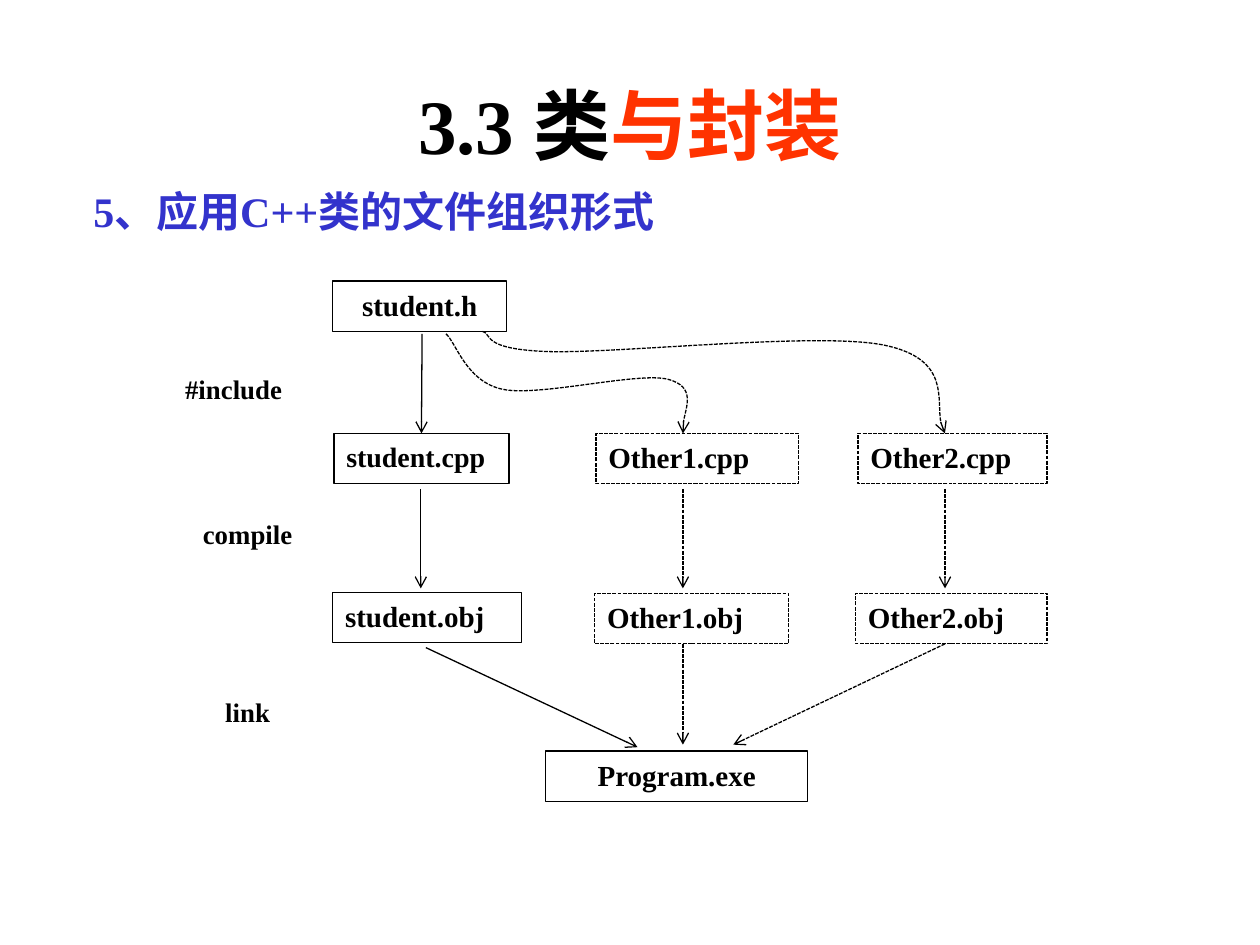
"""Build the slide on how the files of a C++ class are compiled and linked."""
from typing import NamedTuple

import lxml.etree
import pptx
import pptx.dml.color
import pptx.enum.dml
import pptx.enum.shapes
import pptx.enum.text
import pptx.oxml.ns
import pptx.util

Inches = pptx.util.Inches
Pt = pptx.util.Pt
Align = pptx.enum.text.PP_ALIGN
Color = pptx.dml.color.RGBColor
qn = pptx.oxml.ns.qn

BLACK = Color(0x00, 0x00, 0x00)
WHITE = Color(0xFF, 0xFF, 0xFF)
BLUE = Color(0x33, 0x33, 0xCC)
RED = Color(0xFF, 0x33, 0x00)
FONT_NAME = "Times New Roman"


class Box(NamedTuple):
    text: str
    left: float
    top: float
    width: float
    align: Align = Align.JUSTIFY
    dashed: bool = False
    size: float = 16.6
    height: float = 0.4
    outlined: bool = True


class Arrow(NamedTuple):
    start: tuple[float, float]
    end: tuple[float, float]
    dashed: bool = False
    target: str = ""


class Curve(NamedTuple):
    start: tuple[float, float]
    controls: list[tuple[float, float]]


def label(text: str, top: float, align: Align = Align.CENTER) -> Box:
    return Box(text, 1.37, top, 1.19, align, False, 15.3, 0.37, False)


BOXES = [
    Box("student.h", 2.64, 2.23, 1.38, Align.CENTER),
    Box("student.cpp", 2.65, 3.44, 1.39, size=16),
    Box("Other1.cpp", 4.73, 3.44, 1.61, dashed=True),
    Box("Other2.cpp", 6.81, 3.44, 1.5, dashed=True),
    Box("student.obj", 2.64, 4.7, 1.5),
    Box("Other1.obj", 4.72, 4.71, 1.54, dashed=True),
    Box("Other2.obj", 6.79, 4.71, 1.52, dashed=True),
    Box("Program.exe", 4.33, 5.96, 2.08, Align.CENTER),
    label("#include", 2.91, Align.JUSTIFY),
    label("compile", 4.06),
    label("link", 5.47),
]
ARROWS = [
    Arrow((3.35, 2.65), (3.35, 3.44), target="student.cpp"),
    Arrow((3.34, 3.88), (3.34, 4.67)),
    Arrow((5.42, 3.88), (5.42, 4.67), True),
    Arrow((7.5, 3.88), (7.5, 4.67), True),
    Arrow((3.38, 5.14), (5.06, 5.93)),
    Arrow((5.42, 5.11), (5.42, 5.91), True),
    Arrow((7.5, 5.11), (5.82, 5.91), True),
]
CURVES = [
    Curve((3.54, 2.65), [(3.62, 2.72), (3.7, 3.03), (3.99, 3.09),
                         (4.28, 3.15), (5.06, 2.95), (5.3, 3.01),
                         (5.53, 3.07), (5.4, 3.35), (5.42, 3.44)]),
    Curve((3.83, 2.63), [(3.91, 2.65), (3.81, 2.77), (4.34, 2.79),
                         (4.88, 2.81), (6.5, 2.63), (7.02, 2.74),
                         (7.55, 2.85), (7.4, 3.3), (7.5, 3.44)]),
]


def add_run(paragraph, text: str, size: float, color: Color) -> None:
    run = paragraph.add_run()
    run.text = text
    run.font.name = FONT_NAME
    run.font.size = Pt(size)
    run.font.bold = True
    run.font.color.rgb = color


def place(shape, left: float, top: float, width: float, height: float) -> None:
    shape.left, shape.top = Inches(left), Inches(top)
    shape.width, shape.height = Inches(width), Inches(height)


def style_line(line, dashed: bool) -> None:
    line.color.rgb = BLACK
    line.width = Pt(0.75)
    if dashed:
        line.dash_style = pptx.enum.dml.MSO_LINE.SQUARE_DOT


def add_arrowhead(shape) -> None:
    line = shape.line._get_or_add_ln()
    lxml.etree.SubElement(line, qn("a:tailEnd"), type="arrow")


def add_box(slide, box: Box):
    shape = slide.shapes.add_shape(
        pptx.enum.shapes.MSO_SHAPE.RECTANGLE, Inches(box.left),
        Inches(box.top), Inches(box.width), Inches(box.height))
    shape.shadow.inherit = False
    shape.fill.solid()
    shape.fill.fore_color.rgb = WHITE
    if box.outlined:
        style_line(shape.line, box.dashed)
    else:
        shape.line.fill.background()
    shape.text_frame.vertical_anchor = pptx.enum.text.MSO_ANCHOR.TOP
    paragraph = shape.text_frame.paragraphs[0]
    paragraph.alignment = box.align
    add_run(paragraph, box.text, box.size, BLACK)
    return shape


def add_arrow(slide, arrow: Arrow, boxes: dict) -> None:
    connector = slide.shapes.add_connector(
        pptx.enum.shapes.MSO_CONNECTOR.STRAIGHT,
        *map(Inches, arrow.start + arrow.end))
    if arrow.target:
        connector.end_connect(boxes[arrow.target], 0)
    style_line(connector.line, arrow.dashed)
    add_arrowhead(connector)
    lxml.etree.SubElement(connector._element.spPr, qn("a:effectLst"))


def add_curve(slide, curve: Curve) -> None:
    builder = slide.shapes.build_freeform(*map(Inches, curve.start))
    builder.add_line_segments(
        [(Inches(x), Inches(y)) for x, y in curve.controls], close=False)
    shape = builder.convert_to_shape()
    segments = list(shape._element.iter(qn("a:lnTo")))
    outline = segments[0].getparent()
    for first in range(0, len(segments), 3):
        bezier = lxml.etree.SubElement(outline, qn("a:cubicBezTo"))
        for segment in segments[first:first + 3]:
            bezier.append(segment[0])
            outline.remove(segment)
    shape.shadow.inherit = False
    shape.fill.background()
    style_line(shape.line, True)
    add_arrowhead(shape)


def fill_placeholders(slide) -> None:
    title, body = slide.placeholders
    place(title, 0.75, 0.36, 8.5, 1.25)
    title.text_frame.vertical_anchor = pptx.enum.text.MSO_ANCHOR.MIDDLE
    paragraph = title.text_frame.paragraphs[0]
    paragraph.alignment = Align.CENTER
    add_run(paragraph, "3.3 类", 44, BLACK)
    add_run(paragraph, "与封装", 44, RED)

    place(body, 0.64, 1.47, 4.89, 0.46)
    body.text_frame.word_wrap = False
    body.text_frame.auto_size = pptx.enum.text.MSO_AUTO_SIZE.SHAPE_TO_FIT_TEXT
    paragraph = body.text_frame.paragraphs[0]
    properties = paragraph._p.get_or_add_pPr()
    properties.set("marL", "0")
    properties.set("indent", "0")
    lxml.etree.SubElement(properties, qn("a:buNone"))
    paragraph.line_spacing = 0.9
    paragraph.space_before = Pt(0)
    add_run(paragraph, "5、应用C++类的文件组织形式", 24, BLUE)


def main() -> None:
    presentation = pptx.Presentation()
    presentation.slide_width = Inches(10)
    presentation.slide_height = Inches(7.5)
    slide = presentation.slides.add_slide(presentation.slide_layouts[1])
    fill_placeholders(slide)
    boxes = {box.text: add_box(slide, box) for box in BOXES}
    for arrow in ARROWS:
        add_arrow(slide, arrow, boxes)
    for curve in CURVES:
        add_curve(slide, curve)
    presentation.save("out.pptx")


if __name__ == "__main__":
    main()
